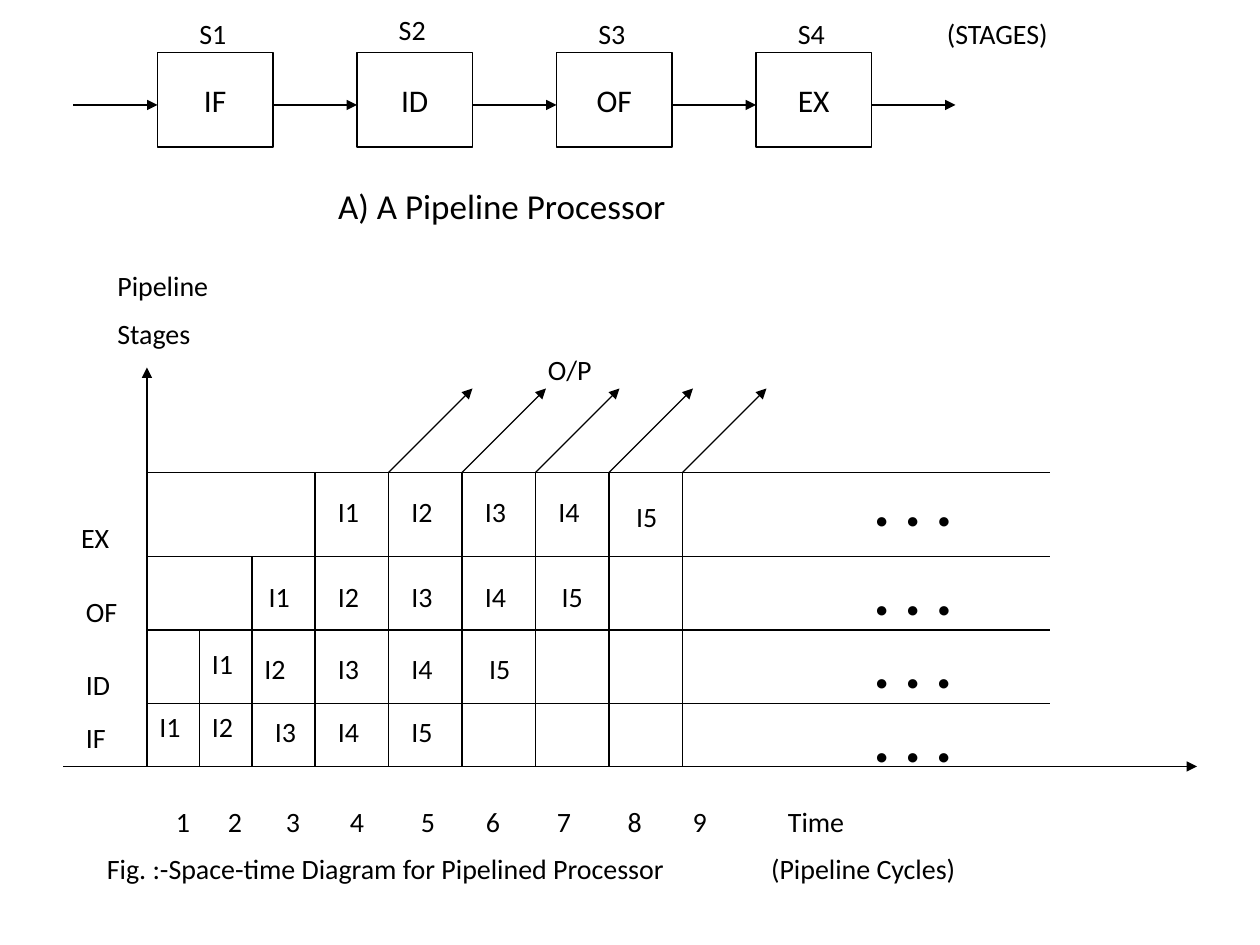
from dataclasses import dataclass

from lxml.etree import SubElement
from pptx import Presentation
from pptx.dml.color import RGBColor
from pptx.enum.shapes import MSO_CONNECTOR, MSO_SHAPE
from pptx.enum.text import MSO_ANCHOR, MSO_AUTO_SIZE, PP_ALIGN
from pptx.oxml.ns import qn
from pptx.util import Cm, Pt


@dataclass(frozen=True)
class Theme:
    font: str = "Calibri"
    ink: RGBColor = RGBColor(0, 0, 0)
    label: Pt = Pt(16)
    stage: Pt = Pt(18)
    title: Pt = Pt(20)
    dots: Pt = Pt(36)
    line: Pt = Pt(0.75)
    gap: Pt = Pt(8)


GRID = 2.54 / 12  # the drawing sits on a grid of twelve steps to the inch
LABEL_HEIGHT = 4.4


def grid(*steps):
    """Turn grid steps into lengths."""
    return [Cm(step * GRID) for step in steps]


def apply(target, values):
    for name, value in values.items():
        setattr(target, name, value)


class Diagram:
    """Draws on one slide; positions are in grid steps, indents and tabs in cm."""

    def __init__(self, slide, theme):
        self.slide = slide
        self.theme = theme

    def add_words(self, paragraph, text, size, bold=False):
        run = paragraph.add_run()
        run.text = text
        apply(run.font, {"name": self.theme.font, "size": size, "bold": bold})
        run.font.color.rgb = self.theme.ink

    def stroke(self, line):
        line.color.rgb = self.theme.ink
        line.width = self.theme.line

    def box(self, left, top, width, height, text):
        shape = self.slide.shapes.add_shape(
            MSO_SHAPE.RECTANGLE, *grid(left, top, width, height))
        shape.shadow.inherit = False
        shape.fill.background()
        self.stroke(shape.line)
        apply(shape.text_frame, {"word_wrap": False,
                                 "vertical_anchor": MSO_ANCHOR.MIDDLE})
        paragraph = shape.text_frame.paragraphs[0]
        paragraph.alignment = PP_ALIGN.CENTER
        self.add_words(paragraph, text, self.theme.stage)

    def line(self, start_x, start_y, end_x, end_y, arrow=False):
        connector = self.slide.shapes.add_connector(
            MSO_CONNECTOR.STRAIGHT, *grid(start_x, start_y, end_x, end_y))
        self.stroke(connector.line)
        properties = connector._element.spPr
        if arrow:
            SubElement(properties.get_or_add_ln(), qn("a:tailEnd"), type="triangle")
        SubElement(properties, qn("a:effectLst"))

    def text(self, left, top, width, height, *lines, size=None, bold=False,
             wrap=True, indent=0, tabs=()):
        """Add a text box; tabs holds one list of tab stops for each line."""
        frame = self.slide.shapes.add_textbox(*grid(left, top, width, height)).text_frame
        apply(frame, {"word_wrap": wrap, "auto_size": MSO_AUTO_SIZE.SHAPE_TO_FIT_TEXT})
        for index, words in enumerate(lines):
            paragraph = frame.add_paragraph() if index else frame.paragraphs[0]
            if index:
                paragraph.space_before = self.theme.gap
            properties = paragraph._p.get_or_add_pPr()
            if indent:
                properties.set("marL", str(Cm(indent)))
            if tabs:
                tab_list = SubElement(properties, qn("a:tabLst"))
                for stop in tabs[index]:
                    SubElement(tab_list, qn("a:tab"), pos=str(Cm(stop)), algn="l")
            self.add_words(paragraph, words, size or self.theme.label, bold)


def draw_processor(diagram):
    pitch = 19
    for index, (name, label_top) in enumerate(
            [("IF", 1), ("ID", 0.6), ("OF", 1), ("EX", 1)]):
        shift = index * pitch
        diagram.box(15 + shift, 5, 11, 9, name)
        diagram.text(16 + shift, label_top, 9, LABEL_HEIGHT, f"S{index + 1}", indent=0.38)
    for index in range(5):
        diagram.line(7 + index * pitch, 10, 15 + index * pitch, 10, arrow=True)
    diagram.text(89, 1, 26, LABEL_HEIGHT, "(STAGES)")
    diagram.text(22, 17, 73, 5.2, "A) A Pipeline Processor",
                 size=diagram.theme.title, indent=1.91)


def draw_axes_and_grid(diagram):
    axis_x, axis_y, right = 14, 73, 100
    diagram.line(axis_x, axis_y, axis_x, 35, arrow=True)
    diagram.line(6, axis_y, 114, axis_y, arrow=True)
    row_tops = [45, 53, 60, 67]
    for top in row_tops:
        diagram.line(axis_x, top, right, top)

    outputs = range(37, 66, 7)
    for x, top in [(19, 60), (24, 53), (30, 45)] + [(x, 45) for x in outputs]:
        diagram.line(x, top, x, axis_y)
    for x in outputs:
        diagram.line(x, 45, x + 8, 37, arrow=True)
    diagram.text(51, 33, 14, LABEL_HEIGHT, "O/P")


def draw_instructions(diagram):
    rows = [
        [(31, 46.5), (38, 46.5), (45, 46.5), (52, 46.5), (59.4, 47)],
        [(24.4, 54.6), (31, 54.6), (38, 54.6), (45, 54.6), (52.3, 54.6)],
        [(19, 61), (24, 61.5), (31, 61.5), (38, 61.5), (45.4, 61.5)],
        [(14, 67), (19, 67), (25, 67.5), (31, 67.5), (38, 67.5)],
    ]
    for row in rows:
        for number, (left, top) in enumerate(row, start=1):
            diagram.text(left, top, 4.7, LABEL_HEIGHT, f"I{number}", wrap=False)
    for top, width in [(43.6, 10), (52, 14), (59, 13), (66, 29)]:
        diagram.text(82, top, width, 8.4, ". . .",
                     size=diagram.theme.dots, bold=True)


def draw_labels(diagram):
    diagram.text(10, 25, 15, 14, "Pipeline", "Stages")
    diagram.text(3, 49, 10, LABEL_HEIGHT, "EX", indent=0.75)
    for name, top, width in [("OF", 56, 6), ("ID", 63, 6), ("IF", 68, 5)]:
        diagram.text(7, top, width, LABEL_HEIGHT, name)
    cycle_stops = [1.39, 2.44, 3.61, 4.9, 6.33, 7.64, 9.07, 10.5, 11.81, 13.73]
    cycles = [str(number) for number in range(1, 10)] + ["Time"]
    diagram.text(9, 76, 91, 14,
                 "".join(f"\t{word}" for word in cycles),
                 "Fig. :-Space-time Diagram for Pipelined Processor\t(Pipeline Cycles)",
                 tabs=[cycle_stops, [13.39]])


def main():
    presentation = Presentation()
    apply(presentation, {"slide_width": Cm(25.4), "slide_height": Cm(19.05)})
    slide = presentation.slides.add_slide(presentation.slide_layouts[6])
    diagram = Diagram(slide, Theme())
    draw_processor(diagram)
    draw_axes_and_grid(diagram)
    draw_instructions(diagram)
    draw_labels(diagram)
    presentation.save("out.pptx")


if __name__ == "__main__":
    main()
